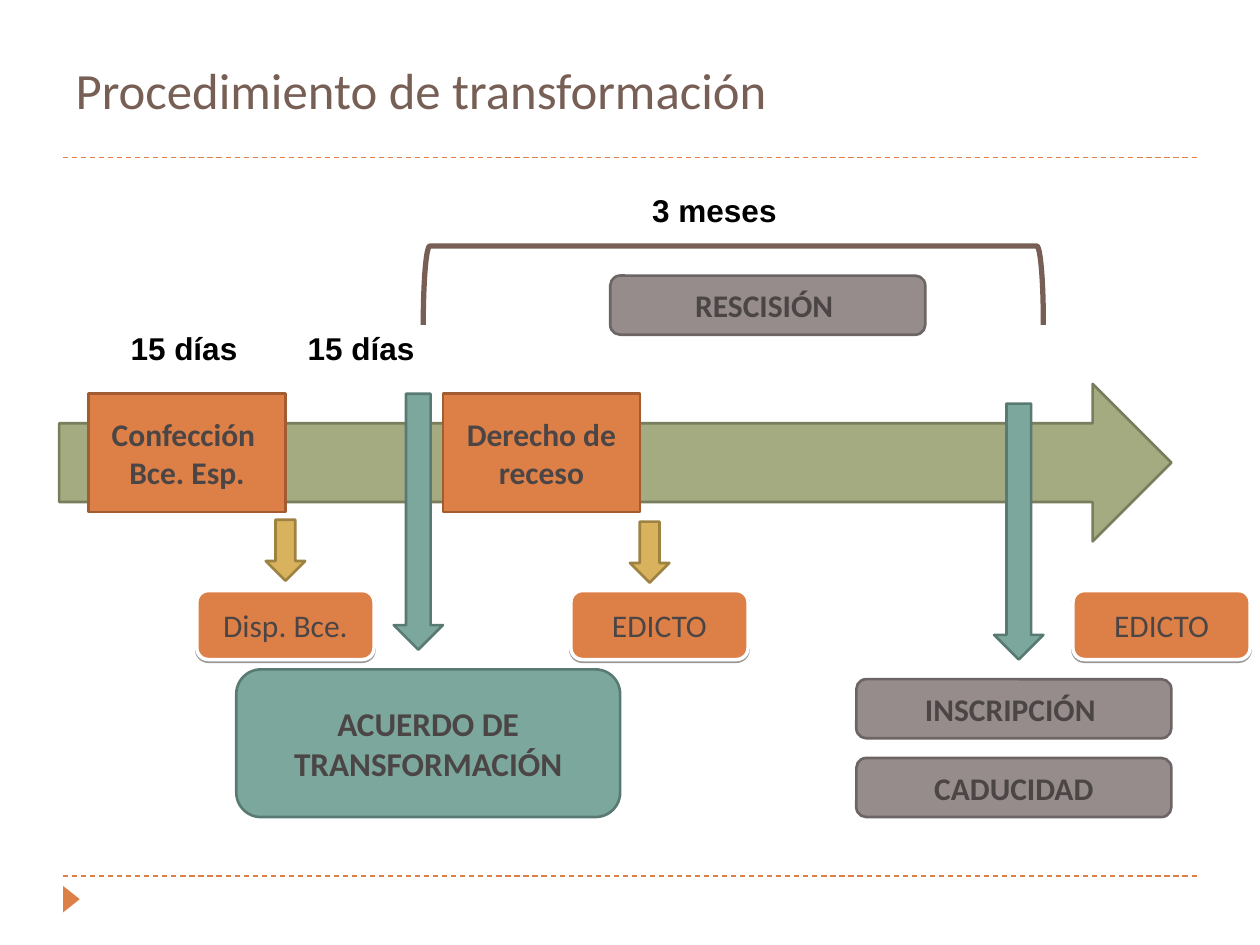
"""Builds a slide with the timeline of a company transformation procedure."""
from lxml import etree
from pptx import Presentation, util as u
from pptx.dml.color import RGBColor
from pptx.enum import dml, shapes, text
from pptx.oxml import parse_xml
from pptx.oxml.ns import nsdecls, qn

BROWN = RGBColor(0x77, 0x5F, 0x55)
ORANGE = RGBColor(0xDD, 0x80, 0x47)
RUST = RGBColor(0xA2, 0x5C, 0x32)
GREEN = RGBColor(0xA5, 0xAB, 0x81)
OLIVE = RGBColor(0x78, 0x7D, 0x5D)
TEAL = RGBColor(0x7B, 0xA7, 0x9D)
PINE = RGBColor(0x59, 0x7A, 0x72)
GOLD = RGBColor(0xD8, 0xB2, 0x5C)
BRONZE = RGBColor(0x9E, 0x82, 0x41)
GREY = RGBColor(0x96, 0x8C, 0x8C)
SLATE = RGBColor(0x6D, 0x65, 0x65)
INK = RGBColor(0x4C, 0x45, 0x45)
BLACK = RGBColor(0, 0, 0)
WHITE = RGBColor(255, 255, 255)
KIND = shapes.MSO_SHAPE
COLUMNS = 64
SHADOW = (
    f'<a:effectLst {nsdecls("a")}><a:outerShdw blurRad="0" dist="12700" dir="5400000">'
    '<a:srgbClr val="000000"><a:alpha val="40000"/></a:srgbClr></a:outerShdw></a:effectLst>'
)


class Timeline:
    """Draws on a slide whose grid has 64 columns and 48 rows of square cells."""

    def __init__(self, deck):
        self.slide = deck.slides.add_slide(deck.slide_layouts[5])
        self.cell = deck.slide_width / COLUMNS

    def place(self, *cells):
        return [round(value * self.cell) for value in cells]

    def set_text(self, frame, lines, size, color, bold=False, font="Calibri",
                 align=text.PP_ALIGN.CENTER):
        frame.word_wrap = True
        frame.text = "\n".join(lines)
        for para in frame.paragraphs:
            para.alignment = align
            para.font.name = font
            para.font.size = u.Pt(size)
            para.font.bold = bold
            para.font.color.rgb = color

    def title(self, words, *cells):
        box = self.slide.shapes.title
        box.left, box.top, box.width, box.height = self.place(*cells)
        frame = box.text_frame
        frame.auto_size = text.MSO_AUTO_SIZE.NONE
        frame.vertical_anchor = text.MSO_ANCHOR.BOTTOM
        self.set_text(frame, [words], 29, BROWN, align=text.PP_ALIGN.LEFT)

    def rule(self, row):
        line = self.slide.shapes.add_connector(
            shapes.MSO_CONNECTOR.STRAIGHT, *self.place(3.2, row, COLUMNS - 3.2, row))
        line.line.color.rgb = ORANGE
        line.line.width = u.Pt(0.75)
        line.line.dash_style = dml.MSO_LINE.DASH
        etree.SubElement(line._element.spPr, qn("a:effectLst"))

    def shape(self, kind, cells, fill=None, edge=None, weight=1.5, turn=0):
        box = self.slide.shapes.add_shape(kind, *self.place(*cells))
        box.shadow.inherit = False
        box.rotation = turn
        if fill is None:
            box.fill.background()
        else:
            box.fill.solid()
            box.fill.fore_color.rgb = fill
        if edge is None:
            box.line.fill.background()
        else:
            box.line.color.rgb = edge
            box.line.width = u.Pt(weight)
        return box

    def block(self, lines, kind, cells, fill, edge, size=18):
        box = self.shape(kind, cells, fill, edge)
        self.set_text(box.text_frame, lines, size, INK, bold=True)

    def stage(self, lines, column):
        self.block(lines, KIND.RECTANGLE, (column, 20, 10, 6), ORANGE, RUST)

    def outcome(self, words, column, row):
        self.block([words], KIND.ROUNDED_RECTANGLE, (column, row, 16, 3), GREY, SLATE)

    def notice(self, words, column):
        box = self.shape(KIND.ROUNDED_RECTANGLE, (column, 30, 9, 3.5), ORANGE, WHITE, 2)
        properties = box._element.spPr
        properties.replace(properties.find(qn("a:effectLst")), parse_xml(SHADOW))
        self.set_text(box.text_frame, [words], 18, INK)

    def milestone(self, column, row):
        self.shape(KIND.DOWN_ARROW, (column, row, 2.5, 13), TEAL, PINE)

    def pointer(self, column, row):
        self.shape(KIND.DOWN_ARROW, (column, row, 2, 3.1), GOLD, BRONZE)

    def term(self, words, column, row):
        box = self.slide.shapes.add_textbox(*self.place(column, row, 10, 2.58))
        box.text_frame.auto_size = text.MSO_AUTO_SIZE.SHAPE_TO_FIT_TEXT
        self.set_text(box.text_frame, [words], 18, BLACK, True, "Arial", text.PP_ALIGN.LEFT)


def main():
    deck = Presentation()
    deck.slide_width, deck.slide_height = u.Inches(10), u.Inches(7.5)
    page = Timeline(deck)
    page.title("Procedimiento de transformación", 3.2, -0.5, 57.6, 6.9)
    for row in (44.5, 8):
        page.rule(row)
    page.shape(KIND.ISOSCELES_TRIANGLE, (2.95, 45.25, 1.35, 0.85), ORANGE, turn=90)

    page.shape(KIND.RIGHT_ARROW, (3, 19.5, 56.5, 8), GREEN, OLIVE)
    page.stage(["Confección ", "Bce. Esp."], 4.5)
    page.milestone(20, 20)
    for column in (6, 15):
        page.term("15 días", column, 16.4)
    page.stage(["Derecho de receso"], 22.5)
    page.pointer(13.5, 26.4)
    page.block(["ACUERDO DE TRANSFORMACIÓN"], KIND.ROUNDED_RECTANGLE,
               (12, 34, 19.5, 7.5), TEAL, PINE, 19)
    for words, column in (("Disp. Bce.", 10), ("EDICTO", 29), ("EDICTO", 54.5)):
        page.notice(words, column)
    page.pointer(32, 26.5)

    page.shape(KIND.RIGHT_BRACKET, (35.25, -1.25, 4, 31.5), edge=BROWN, weight=3, turn=270)
    page.milestone(50.5, 20.5)
    page.outcome("INSCRIPCIÓN ", 43.5, 34.5)
    page.outcome("CADUCIDAD", 43.5, 38.5)
    page.term("3 meses", 32.5, 9.4)
    page.outcome("RESCISIÓN ", 31, 14)
    deck.save("out.pptx")


if __name__ == "__main__":
    main()
